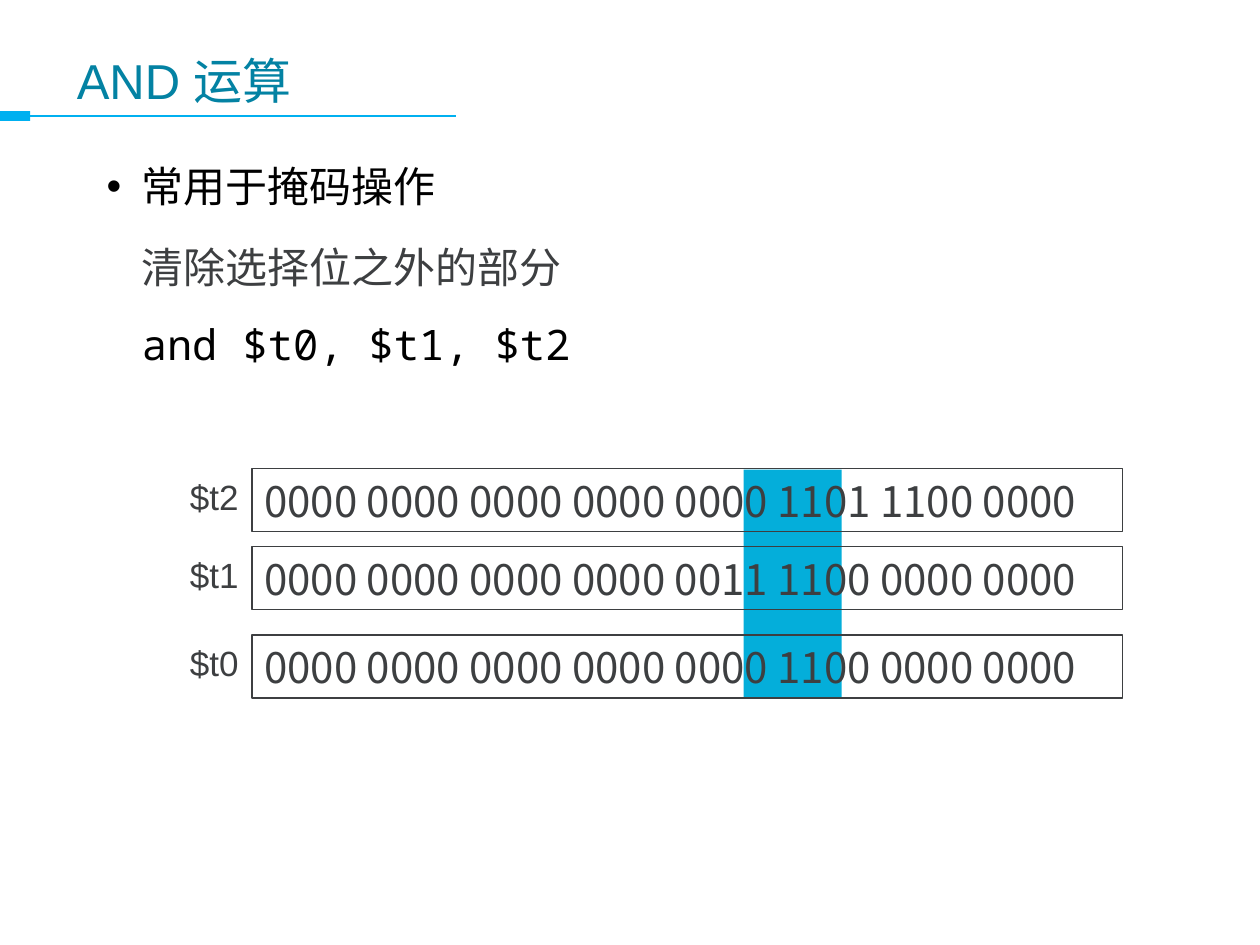
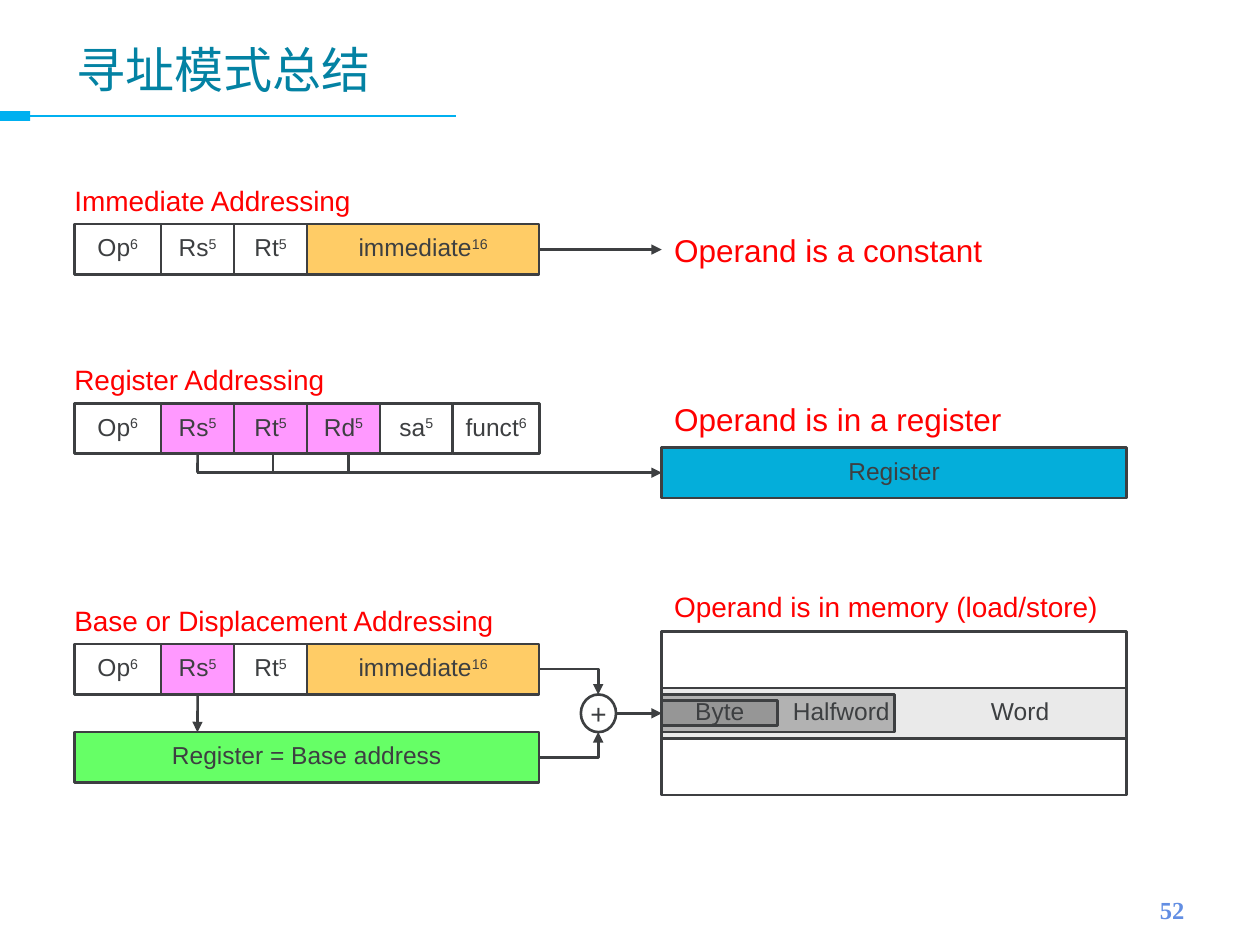
from lxml.etree import SubElement
from pptx import Presentation
from pptx.dml.color import RGBColor
from pptx.enum.shapes import MSO_CONNECTOR, MSO_SHAPE
from pptx.enum.text import MSO_ANCHOR, MSO_AUTO_SIZE, PP_ALIGN
from pptx.oxml.ns import qn
from pptx.util import Cm, Pt

COLORS = {
    "ink": "3D3F41",
    "black": "000000",
    "white": "FFFFFF",
    "title": "0382A3",
    "band": "00B0F0",
    "blue": "04AEDA",
    "red": "FF0000",
    "orange": "FFCC66",
    "pink": "FF99FF",
    "green": "66FF66",
    "word": "EAEAEA",
    "halfword": "B2B2B2",
    "byte": "969696",
    "number": "628EE3",
}
LATIN = "Arial"
CJK = "Noto Sans CJK SC"
MONO = "Noto Sans Mono"
SERIF = "Times New Roman"
NO_INSETS = (0, 0, 0, 0)
INSETS = (0.25, 0.13, 0.25, 0.13)


def rgb(name):
    return RGBColor.from_string(COLORS[name])


class Deck:
    def __init__(self):
        self.presentation = Presentation()
        self.presentation.slide_width = Cm(25.4)
        self.presentation.slide_height = Cm(19.05)
        self.slide = None

    def new_slide(self, title, anchor):
        layout = self.presentation.slide_layouts[5]
        self.slide = self.presentation.slides.add_slide(layout)
        shape = self.slide.shapes.title
        shape.left, shape.top = Cm(1.3), Cm(0.43)
        shape.width, shape.height = Cm(22.86), Cm(1.9)
        self.set_text(shape, title, size=28, color="title", anchor=anchor, insets=INSETS)
        band = self.box((0, 2.24, 0.61, 0.2), fill="band")
        self.line((9.19, 2.34), (0.61, 2.34), color="band", width=0.75, end=(band, 3))

    def style(self, paragraph, size, color, font=LATIN, bold=False):
        paragraph.font.size = Pt(size)
        paragraph.font.name = font
        paragraph.font.bold = bold
        paragraph.font.color.rgb = rgb(color)

    def set_text(self, shape, text, size=14, color="ink", font=LATIN, bold=False,
                 align=PP_ALIGN.LEFT, anchor=MSO_ANCHOR.MIDDLE, insets=NO_INSETS,
                 superscript="", indent=0, spacing=None):
        frame = shape.text_frame
        frame.word_wrap = True
        frame.auto_size = MSO_AUTO_SIZE.NONE
        frame.vertical_anchor = anchor
        frame.margin_left, frame.margin_top, frame.margin_right, frame.margin_bottom = map(Cm, insets)
        paragraph = frame.paragraphs[0]
        paragraph.alignment = align
        if indent:
            self.indent(paragraph, indent)
        if spacing:
            paragraph.line_spacing = spacing
        paragraph.add_run().text = text
        if superscript:
            run = paragraph.add_run()
            run.text = superscript
            run._r.get_or_add_rPr().set("baseline", "30000")
        self.style(paragraph, size, color, font, bold)

    def indent(self, paragraph, left, bullet=None):
        properties = paragraph._p.get_or_add_pPr()
        properties.set("marL", str(Cm(left)))
        properties.set("indent", str(Cm(-left) if bullet else 0))
        if bullet:
            SubElement(properties, qn("a:buFont")).set("typeface", LATIN)
            SubElement(properties, qn("a:buChar")).set("char", bullet)

    def text(self, bounds, text, **options):
        shape = self.slide.shapes.add_textbox(*map(Cm, bounds))
        self.set_text(shape, text, **options)
        return shape

    def body(self, bounds, items):
        shape = self.slide.shapes.add_textbox(*map(Cm, bounds))
        frame = shape.text_frame
        frame.word_wrap = True
        for index, (text, color, font, bullet, before, after, spacing) in enumerate(items):
            paragraph = frame.add_paragraph() if index else frame.paragraphs[0]
            paragraph.space_before = Pt(before)
            paragraph.space_after = Pt(after)
            paragraph.line_spacing = spacing
            self.indent(paragraph, 0.71, bullet)
            paragraph.add_run().text = text
            self.style(paragraph, 24, color, font)

    def box(self, bounds, fill=None, line=None, width=1.5, kind=MSO_SHAPE.RECTANGLE):
        shape = self.slide.shapes.add_shape(kind, *map(Cm, bounds))
        shape.shadow.inherit = False
        if fill:
            shape.fill.solid()
            shape.fill.fore_color.rgb = rgb(fill)
        else:
            shape.fill.background()
        if line:
            shape.line.color.rgb = rgb(line)
            shape.line.width = Pt(width)
        else:
            shape.line.fill.background()
        return shape

    def cell(self, bounds, text, fill, **options):
        shape = self.box(bounds, fill, "ink")
        self.set_text(shape, text, align=PP_ALIGN.CENTER, spacing=0.85, **options)
        return shape

    def fields(self, top, heading, fields):
        self.text((1.5, top - 0.88, 9.37, 0.81), heading, size=16, color="red")
        left = 1.5
        cells = []
        for name, bits, width, fill in fields:
            cells.append(self.cell((left, top, width, 1.02), name, fill, superscript=bits))
            left += width
        return cells

    def note(self, top, text, size=18):
        return self.text((13.34, top, 9.37, 0.82), text, size=size, color="red",
                         insets=(0.25, 0, 0.25, 0))

    def line(self, start, finish, color="ink", width=1.5, arrow=False,
             begin=None, end=None, bent=False):
        kind = MSO_CONNECTOR.ELBOW if bent else MSO_CONNECTOR.STRAIGHT
        connector = self.slide.shapes.add_connector(kind, *map(Cm, start + finish))
        if begin:
            connector.begin_connect(*begin)
        if end:
            connector.end_connect(*end)
        connector.line.color.rgb = rgb(color)
        connector.line.width = Pt(width)
        properties = connector.element.spPr
        if bent:
            properties.find(qn("a:prstGeom")).set("prst", "bentConnector2")
        if arrow:
            SubElement(properties.find(qn("a:ln")), qn("a:tailEnd")).set("type", "triangle")
        SubElement(properties, qn("a:effectLst"))


def build_and_slide(deck):
    deck.new_slide("AND 运算", MSO_ANCHOR.BOTTOM)
    deck.box((14.99, 9.47, 1.98, 4.62), fill="blue")
    deck.body((1.9, 3.12, 22.96, 5.77), [
        ("常用于掩码操作", "black", LATIN, "•", 0, 2.4, 1.0),
        ("清除选择位之外的部分", "ink", LATIN, None, 6.1, 0, 1.3),
        ("and $t0, $t1, $t2", "black", MONO, None, 15.1, 9.1, 1.0),
    ])
    registers = [
        ("$t2", 9.45, "0000 0000 0000 0000 0000 1101 1100 0000"),
        ("$t1", 11.02, "0000 0000 0000 0000 0011 1100 0000 0000"),
        ("$t0", 12.8, "0000 0000 0000 0000 0000 1100 0000 0000"),
    ]
    for name, top, bits in registers:
        register = deck.box((5.08, top, 17.55, 1.27), line="ink", width=0.75)
        deck.set_text(register, bits, size=24, font=CJK, anchor=MSO_ANCHOR.TOP, insets=INSETS)
        deck.text((3.58, top, 1.47, 1.12), name, size=20, anchor=MSO_ANCHOR.TOP,
                  insets=(0.25, 0.13, 0, 0.13))


def build_addressing_slide(deck):
    deck.new_slide("寻址模式总结", MSO_ANCHOR.MIDDLE)
    opcode = ("Op", "6", 1.75, "white")
    target = ("Rt", "5", 1.47, "white")
    immediate = ("immediate", "16", 4.68, "orange")

    cells = deck.fields(4.52, "Immediate Addressing",
                        [opcode, ("Rs", "5", 1.47, "white"), target, immediate])
    note = deck.note(4.62, "Operand is a constant")
    deck.line((10.87, 5.03), (13.34, 5.03), arrow=True, begin=(cells[-1], 3), end=(note, 1))

    sources = [(name, "5", 1.47, "pink") for name in ("Rs", "Rt", "Rd")]
    cells = deck.fields(8.13, "Register Addressing", [
        opcode, *sources, ("sa", "5", 1.47, "white"), ("funct", "6", 1.75, "white")])
    register = deck.cell((13.34, 9.02, 9.37, 1.02), "Register", "blue")
    deck.note(8.03, "Operand is in a register")
    deck.line((3.98, 9.53), (13.34, 9.53), arrow=True, end=(register, 1))
    for index in range(len(sources)):
        x = 3.98 + index * 1.52
        deck.line((x, 9.15), (x, 9.53), begin=None if index else (cells[1], 2))

    cells = deck.fields(12.98, "Base or Displacement Addressing",
                        [opcode, sources[0], target, immediate])
    word = deck.cell((13.34, 13.87, 9.37, 1.02), "Word", "word", indent=5.08)
    deck.note(11.81, "Operand is in memory (load/store)", size=16)
    deck.cell((1.5, 14.76, 9.37, 1.02), "Register = Base address", "green")
    deck.line((3.98, 14.0), (3.98, 14.76), arrow=True, begin=(cells[1], 2))
    adder = deck.box((11.71, 14.0, 0.71, 0.76), "white", "ink", kind=MSO_SHAPE.OVAL)
    deck.set_text(adder, "+", size=16, align=PP_ALIGN.CENTER)
    deck.line((10.87, 15.27), (12.06, 14.76), arrow=True, bent=True)
    deck.line((10.87, 13.49), (12.06, 14.0), arrow=True, bent=True)
    deck.line((12.42, 14.38), (13.34, 14.38), arrow=True, end=(word, 1))
    deck.box((13.34, 12.73, 9.37, 3.3), line="ink")
    deck.cell((13.34, 14.0, 4.7, 0.76), "Halfword", "halfword", indent=2.54)
    deck.cell((13.34, 14.12, 2.34, 0.51), "Byte", "byte")

    deck.text((18.21, 17.75, 5.92, 1.17), "52", color="number", font=SERIF, bold=True,
              align=PP_ALIGN.RIGHT, insets=INSETS)


def main():
    deck = Deck()
    build_and_slide(deck)
    build_addressing_slide(deck)
    deck.presentation.save("out.pptx")


if __name__ == "__main__":
    main()
